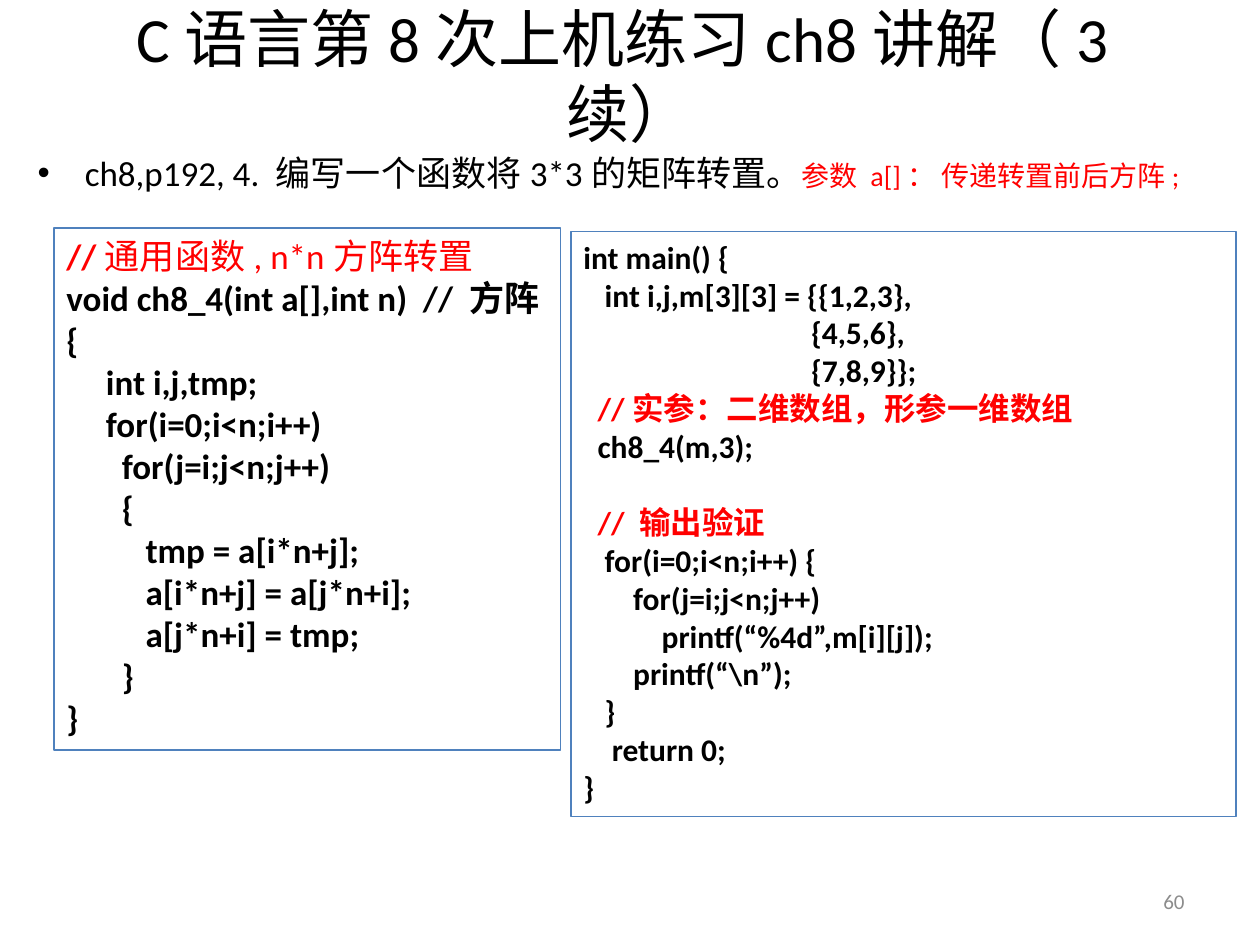
from pptx import Presentation
from pptx.dml.color import RGBColor
from pptx.enum.shapes import MSO_SHAPE as Shape
from pptx.enum.text import MSO_ANCHOR as Anchor, MSO_AUTO_SIZE as AutoSize, PP_ALIGN as Align
from pptx.util import Cm, Pt
from lxml.etree import SubElement
from pptx.oxml.ns import qn

BLACK = RGBColor(0x00, 0x00, 0x00)
RED = RGBColor(0xFF, 0x00, 0x00)
GRAY = RGBColor(0x8C, 0x8C, 0x8C)
BLUE = RGBColor(0x4F, 0x81, 0xBD)

FONT = "Calibri"
SPACE_WIDTH = 0.226  # width of a bold space, in ems
LINE_HEIGHT = 1.22   # height of a single line, in ems


def add_span(para, text, size=20, color=BLACK, bold=False):
    span = para.add_run()
    span.text = text
    font = span.font
    font.name, font.size, font.bold = FONT, Pt(size), bold
    font.color.rgb = color


def set_indent(para, left, first=0):
    properties = para._p.get_or_add_pPr()
    properties.set("marL", str(int(left)))
    properties.set("indent", str(int(first)))
    return properties


class CodeSlide:
    def __init__(self, deck):
        self.page = deck.slides.add_slide(deck.slide_layouts[6])

    def text(self, left, top, width, height, anchor=Anchor.TOP, align=Align.LEFT):
        """Add a wrapping text box and return its first paragraph."""
        box = self.page.shapes.add_textbox(Cm(left), Cm(top), Cm(width), Cm(height))
        frame = box.text_frame
        frame.word_wrap = True
        frame.vertical_anchor = anchor
        para = frame.paragraphs[0]
        para.alignment = align
        return para

    def bullet(self, *place):
        para = self.text(*place)
        para.line_spacing = 1.5
        para.space_before = Pt(4)
        properties = set_indent(para, Cm(0.95), -Cm(0.95))
        SubElement(properties, qn("a:buFont"), typeface="Arial")
        SubElement(properties, qn("a:buChar"), char="•")
        return para

    def code(self, left, top, width, height, size, lines):
        """Add a framed listing; each line is (columns, blank lines before, spans)."""
        box = self.page.shapes.add_shape(
            Shape.RECTANGLE, Cm(left), Cm(top), Cm(width), Cm(height))
        box.shadow.inherit = False
        box.fill.background()
        box.line.color.rgb = BLUE
        box.line.width = Pt(0.75)
        frame = box.text_frame
        frame.word_wrap = True
        frame.auto_size = AutoSize.SHAPE_TO_FIT_TEXT
        frame.vertical_anchor = Anchor.TOP
        for number, (columns, blanks, spans) in enumerate(lines):
            para = frame.add_paragraph() if number else frame.paragraphs[0]
            para.alignment = Align.LEFT
            set_indent(para, Pt(columns * size * SPACE_WIDTH))
            if blanks:
                para.space_before = Pt(round(blanks * size * LINE_HEIGHT))
            for text, style in spans:
                add_span(para, text, size=size, **style)


def line(columns, text, color=BLACK, blanks=0):
    return columns, blanks, [(text, dict(color=color, bold=True))]


TRANSPOSE = [
    (0, 0, [("//", dict(color=RED, bold=True)),
            ("通用函数, n*n方阵转置", dict(color=RED))]),
    line(0, "void ch8_4(int a[],int n)  // 方阵"),
    line(0, "{"),
    line(5, "int i,j,tmp;"),
    line(5, "for(i=0;i<n;i++)"),
    line(7, "for(j=i;j<n;j++)"),
    line(7, "{"),
    line(10, "tmp = a[i*n+j];"),
    line(10, "a[i*n+j] = a[j*n+i];"),
    line(10, "a[j*n+i] = tmp;"),
    line(7, "}"),
    line(0, "}"),
]

MAIN = [
    line(0, "int main() {"),
    line(3, "int i,j,m[3][3] = {{1,2,3},"),
    line(32, "{4,5,6},"),
    line(32, "{7,8,9}};"),
    line(2, "//实参：二维数组，形参一维数组", RED),
    line(2, "ch8_4(m,3);"),
    line(2, "// 输出验证", RED, blanks=1),
    line(3, "for(i=0;i<n;i++) {"),
    line(7, "for(j=i;j<n;j++)"),
    line(11, "printf(“%4d”,m[i][j]);"),
    line(7, "printf(“\\n”);"),
    line(3, "}"),
    line(4, "return 0;"),
    line(0, "}"),
]


def main():
    deck = Presentation()
    deck.slide_width, deck.slide_height = Cm(25.4), Cm(19.05)
    slide = CodeSlide(deck)

    title = slide.text(1.27, -0.08, 22.86, 3.18, Anchor.MIDDLE, Align.CENTER)
    add_span(title, "C语言第8次上机练习ch8讲解（3续）", size=36)

    task = slide.bullet(0.51, 2.51, 24, 15.6)
    add_span(task, "ch8,p192, 4. 编写一个函数将3*3的矩阵转置。")
    add_span(task, "参数 a[]： 传递转置前后方阵;", size=16, color=RED)

    page_number = slide.text(18.21, 17.65, 5.92, 1.02, Anchor.MIDDLE, Align.RIGHT)
    add_span(page_number, "60", size=12, color=GRAY)

    slide.code(1.09, 4.6, 10.21, 10.52, 20, TRANSPOSE)
    slide.code(11.51, 4.67, 13.41, 11.79, 18, MAIN)
    deck.save("out.pptx")


if __name__ == "__main__":
    main()
